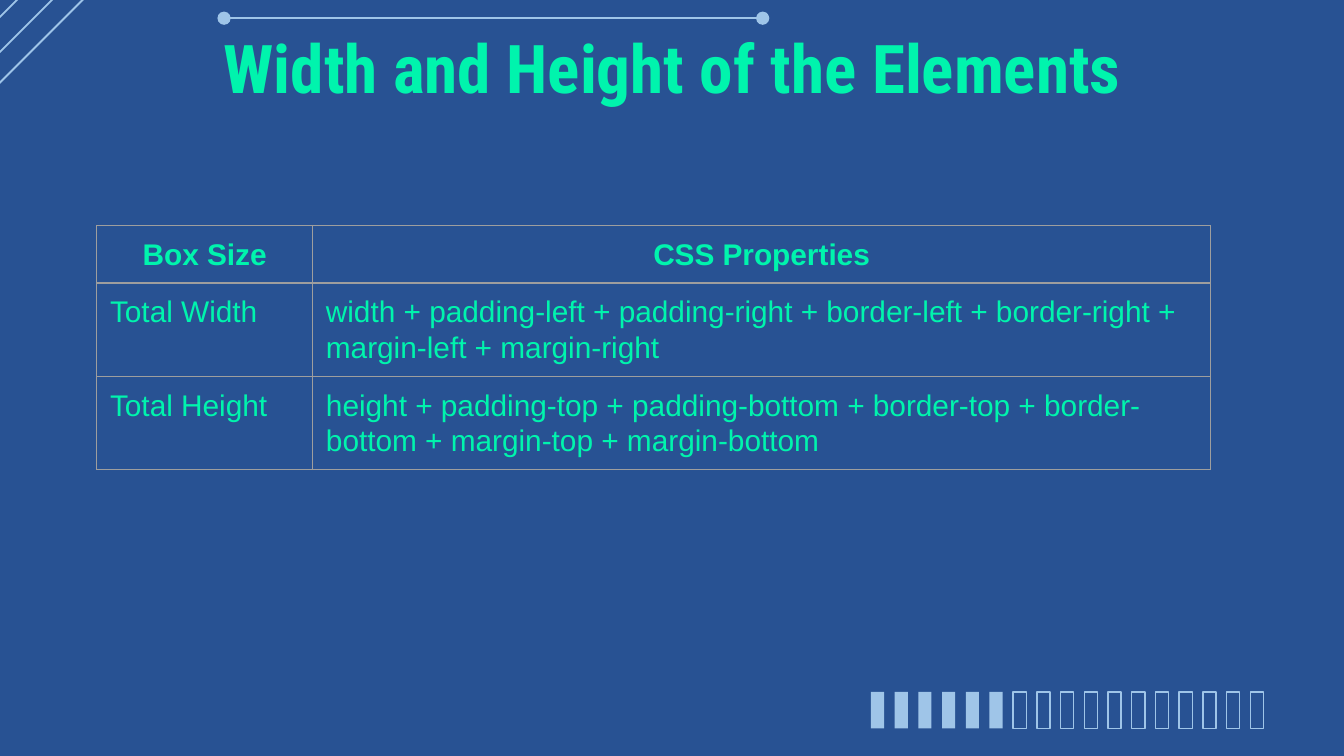
import pptx
import pptx.dml.color
import pptx.enum.shapes
import pptx.enum.text
import pptx.oxml
import pptx.oxml.ns
import pptx.util
from pptx.util import Cm

NAVY, SKY, MINT, GREY = "285293", "9FC5E8", "00F4AD", "9E9E9E"
ALIGN = pptx.enum.text.PP_ALIGN
SHAPE = pptx.enum.shapes.MSO_SHAPE

TITLE = "Width and Height of the Elements"
BOX_SIZES = [
    ("Box Size", "CSS Properties"),
    ("Total Width", "width + padding-left + padding-right + border-left + "
                    "border-right + margin-left + margin-right"),
    ("Total Height", "height + padding-top + padding-bottom + border-top + "
                     "border-bottom + margin-top + margin-bottom"),
]


def paint(color_format, hex_color):
    color_format.rgb = pptx.dml.color.RGBColor.from_string(hex_color)


def style_text(paragraph, font_name, size, bold, align):
    paragraph.alignment = align
    for run in paragraph.runs:
        run.font.name = font_name
        run.font.size = pptx.util.Pt(size)
        run.font.bold = bold
        paint(run.font.color, MINT)


def add_title(slide):
    title = slide.shapes.title
    title.left, title.top, title.width, title.height = Cm(2), Cm(0.49), Cm(21.41), Cm(1.35)
    frame = title.text_frame
    frame.text = TITLE
    frame.word_wrap = True
    frame.auto_size = pptx.enum.text.MSO_AUTO_SIZE.NONE
    frame.vertical_anchor = pptx.enum.text.MSO_ANCHOR.TOP
    frame.margin_left = frame.margin_top = frame.margin_right = frame.margin_bottom = 0
    style_text(frame.paragraphs[0], "Roboto Condensed", 36, True, ALIGN.CENTER)


def add_line(slide, x1, y1, x2, y2):
    line = slide.shapes.add_connector(
        pptx.enum.shapes.MSO_CONNECTOR.STRAIGHT, Cm(x1), Cm(y1), Cm(x2), Cm(y2))
    paint(line.line.color, SKY)
    line.line.width = pptx.util.Pt(1)
    line._element.spPr.append(pptx.oxml.parse_xml(
        f"<a:effectLst {pptx.oxml.ns.nsdecls('a')}/>"))


def add_circuit_trace(slide, points):
    start, *rest = [(Cm(x), Cm(y)) for x, y in points]
    builder = slide.shapes.build_freeform(*start)
    builder.add_line_segments(rest, close=False)
    trace = builder.convert_to_shape()
    trace.shadow.inherit = False
    trace.fill.background()
    paint(trace.line.color, SKY)
    trace.line.width = pptx.util.Pt(1)


def add_mark(slide, kind, left, top, width, height, filled=True):
    mark = slide.shapes.add_shape(kind, Cm(left), Cm(top), Cm(width), Cm(height))
    mark.shadow.inherit = False
    if filled:
        mark.fill.solid()
        paint(mark.fill.fore_color, SKY)
        mark.line.fill.background()
    else:
        mark.fill.background()
        paint(mark.line.color, SKY)
        mark.line.width = pptx.util.Pt(0.75)


def add_progress_bars(slide, count=17, filled=6):
    first, last = 16.46, 23.63
    pitch = (last - first) / (count - 1)
    for i in range(count):
        add_mark(slide, SHAPE.RECTANGLE, first + i * pitch, 13.08, 0.25, 0.69, i < filled)


def add_borders(cell):
    properties = cell._tc.get_or_add_tcPr()
    for position, side in enumerate(("lnL", "lnR", "lnT", "lnB")):
        properties.insert(position, pptx.oxml.parse_xml(
            f'<a:{side} {pptx.oxml.ns.nsdecls("a")} w="9525"><a:solidFill>'
            f'<a:srgbClr val="{GREY}"/></a:solidFill></a:{side}>'))


def add_box_size_table(slide):
    widths, heights = (4.08, 16.97), (1.09, 1.77, 1.76)
    table = slide.shapes.add_table(
        len(heights), len(widths), Cm(1.83), Cm(4.26),
        Cm(sum(widths)), Cm(sum(heights))).table
    table.first_row = table.horz_banding = False
    for column, width in zip(table.columns, widths):
        column.width = Cm(width)
    for r, (row, height) in enumerate(zip(table.rows, heights)):
        row.height = Cm(height)
        for cell, text in zip(row.cells, BOX_SIZES[r]):
            cell.text_frame.text = text
            cell.margin_left = cell.margin_right = Cm(0.25)
            cell.margin_top = cell.margin_bottom = Cm(0.2)
            paragraph = cell.text_frame.paragraphs[0]
            paragraph.line_spacing = 1.07
            style_text(paragraph, "Arial", 16, r == 0, ALIGN.LEFT if r else ALIGN.CENTER)
            cell.fill.background()
            add_borders(cell)


def main():
    deck = pptx.Presentation()
    deck.slide_width, deck.slide_height = Cm(25.4), Cm(14.29)
    slide = deck.slides.add_slide(deck.slide_layouts[5])
    slide.background.fill.solid()
    paint(slide.background.fill.fore_color, NAVY)

    # Corner traces
    add_circuit_trace(slide, [(-0.49, 2.05), (3.22, -1.66), (6.58, -1.66), (7.98, -0.26),
                              (11.4, -0.26), (13.44, -2.3), (15.34, -2.3)])
    add_line(slide, -1.1, 2.08, 2.66, -1.68)
    add_line(slide, -1.56, 1.88, 2.2, -1.88)

    # Line with round ends above the title
    add_line(slide, 4.23, 0.34, 14.42, 0.34)
    for left in (4.11, 14.29):
        add_mark(slide, SHAPE.OVAL, left, 0.22, 0.25, 0.25)

    add_progress_bars(slide)
    add_title(slide)
    add_box_size_table(slide)
    deck.save("out.pptx")


if __name__ == "__main__":
    main()
